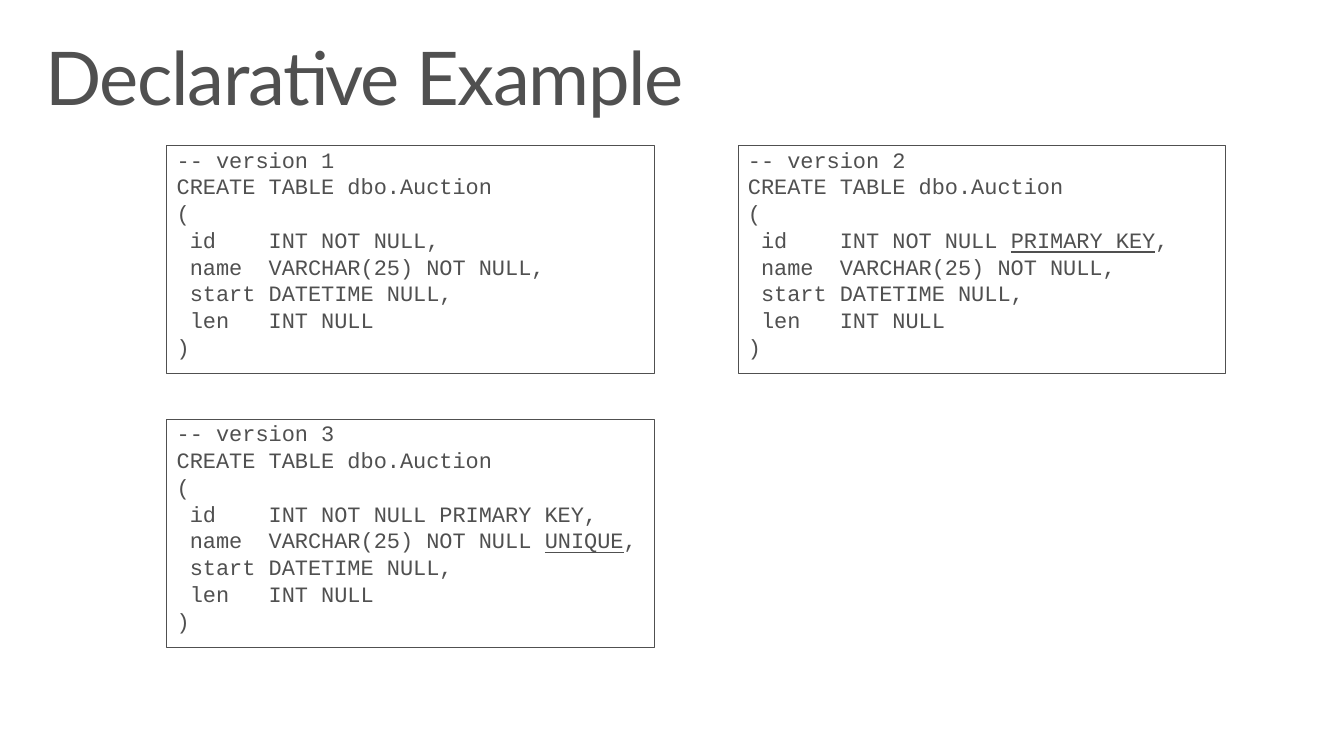
from dataclasses import dataclass

from lxml import etree
from pptx import Presentation, util as u
from pptx.dml.color import RGBColor
from pptx.enum import shapes, text
from pptx.oxml.ns import qn

# Content: changed column constraints as (plain, underlined) parts
TITLE = "Declarative Example"
ID, NAME = " id    INT NOT NULL", " name  VARCHAR(25) NOT NULL"
VERSIONS = [
    # column, row, version, id line, name line
    (0, 0, 1, (ID, ""), (NAME, "")),
    (1, 0, 2, (ID + " ", "PRIMARY KEY"), (NAME, "")),
    (0, 1, 3, (ID + " PRIMARY KEY", ""), (NAME + " ", "UNIQUE")),
]


@dataclass(frozen=True)
class Theme:
    ink: RGBColor = RGBColor(0x50, 0x50, 0x50)
    paper: RGBColor = RGBColor(0xFF, 0xFF, 0xFF)
    title_font: str = "Lato"
    code_font: str = "Courier New"
    title_size: int = 54
    code_size: int = 16
    border: float = 0.75


THEME = Theme()

# Layout in inches
SLIDE_WIDTH, SLIDE_HEIGHT = 13.6, 7.65
TITLE_BOX = (0.3, 0.32, 13, 1)
GRID_LEFT, GRID_TOP = 1.69, 1.47
COLUMN_STEP, ROW_STEP = 5.78, 2.77
CODE_WIDTH, CODE_HEIGHT = 4.93, 2.31


def inches(*lengths):
    return [u.Inches(length) for length in lengths]


def apply(target, values):
    for name, value in values.items():
        setattr(target, name, value)


def add_run(paragraph, words, font, size, underline=None):
    run = paragraph.add_run()
    run.text = words
    apply(run.font, {"name": font, "size": u.Pt(size), "underline": underline})
    run.font.color.rgb = THEME.ink
    return run


def add_title(slide):
    frame = slide.shapes.add_textbox(*inches(*TITLE_BOX)).text_frame
    apply(frame, {"word_wrap": True, "margin_left": u.Inches(0.16),
                  "margin_right": u.Inches(0.16), "margin_top": u.Inches(0.1),
                  "margin_bottom": u.Inches(0.1)})
    paragraph = frame.paragraphs[0]
    paragraph.line_spacing = 0.9
    run = add_run(paragraph, TITLE, THEME.title_font, THEME.title_size)
    run.font._element.set("spc", "-100")


def code_lines(version, id_line, name_line):
    return [
        (f"-- version {version}",),
        ("CREATE TABLE dbo.Auction",),
        ("(",),
        (*id_line, ","),
        (*name_line, ","),
        (" start DATETIME NULL,",),
        (" len   INT NULL",),
        (")",),
    ]


def add_code_box(slide, column, row, lines):
    box = slide.shapes.add_shape(
        shapes.MSO_SHAPE.RECTANGLE,
        *inches(GRID_LEFT + column * COLUMN_STEP, GRID_TOP + row * ROW_STEP,
                CODE_WIDTH, CODE_HEIGHT))
    box.shadow.inherit = False
    box.fill.solid()
    box.fill.fore_color.rgb = THEME.paper
    box.line.color.rgb = THEME.ink
    box.line.width = u.Pt(THEME.border)
    frame = box.text_frame
    apply(frame, {"word_wrap": True, "vertical_anchor": text.MSO_ANCHOR.TOP,
                  "auto_size": text.MSO_AUTO_SIZE.SHAPE_TO_FIT_TEXT})
    for index, parts in enumerate(lines):
        paragraph = frame.add_paragraph() if index else frame.paragraphs[0]
        apply(paragraph, {"alignment": text.PP_ALIGN.LEFT, "line_spacing": 0.85})
        # Space before each line: 20% of the line height
        before = etree.SubElement(paragraph._p.get_or_add_pPr(), qn("a:spcBef"))
        etree.SubElement(before, qn("a:spcPct"), val="20000")
        for position, words in enumerate(parts):
            if words:
                add_run(paragraph, words, THEME.code_font, THEME.code_size,
                        underline=position == 1)


def main():
    presentation = Presentation()
    apply(presentation, {"slide_width": u.Inches(SLIDE_WIDTH),
                         "slide_height": u.Inches(SLIDE_HEIGHT)})
    slide = presentation.slides.add_slide(presentation.slide_layouts[6])
    add_title(slide)
    for column, row, *version in VERSIONS:
        add_code_box(slide, column, row, code_lines(*version))
    presentation.save("out.pptx")


if __name__ == "__main__":
    main()
